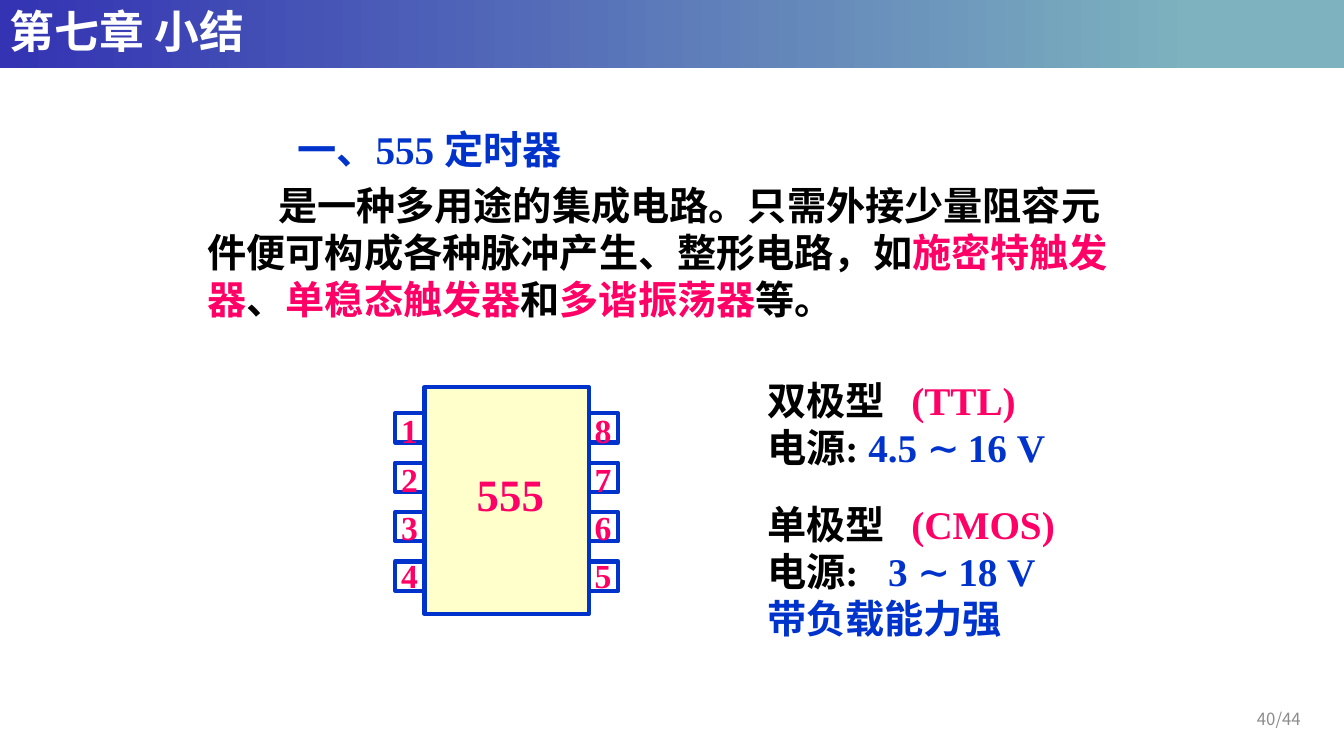
from dataclasses import dataclass

from lxml import etree
from pptx import Presentation
from pptx.dml.color import RGBColor
from pptx.enum.lang import MSO_LANGUAGE_ID
from pptx.enum.shapes import MSO_SHAPE
from pptx.enum.text import MSO_ANCHOR, PP_ALIGN
from pptx.oxml.ns import qn
from pptx.util import Inches, Pt

RECTANGLE = MSO_SHAPE.RECTANGLE
TOP, MIDDLE = MSO_ANCHOR.TOP, MSO_ANCHOR.MIDDLE
LEFT, RIGHT = PP_ALIGN.LEFT, PP_ALIGN.RIGHT
CHINESE = MSO_LANGUAGE_ID.SIMPLIFIED_CHINESE


@dataclass(frozen=True)
class Theme:
    """Colours, fonts and type sizes of the slide."""
    white: str = "FFFFFF"
    black: str = "000000"
    blue: str = "0033CC"
    pink: str = "FF0066"
    cream: str = "FFFFCC"
    grey: str = "8C8C8C"
    band_start: str = "3333B3"
    band_end: str = "7DB2BE"
    title_font: str = "Cabin"
    body_font: str = "Times New Roman"
    number_font: str = "Noto Sans CJK SC"
    title_size: int = 32
    body_size: int = 28
    pin_size: int = 24
    number_size: int = 12
    outline: int = 3


@dataclass(frozen=True)
class Box:
    """A rectangle in inches."""
    left: float
    top: float
    width: float
    height: float

    def emu(self):
        """Return the four lengths for python-pptx."""
        return [Inches(v) for v in (self.left, self.top, self.width, self.height)]

    def inner(self, left, top, width, height):
        """Return a box offset from this one's corner."""
        return Box(self.left + left, self.top + top, width, height)


THEME = Theme()
WIDTH, HEIGHT = 13.33, 7.5


def rgb(colour):
    """Turn a hex string into a colour."""
    return RGBColor.from_string(colour)


def add_text(shapes, box, paragraphs, size=THEME.body_size, font=THEME.body_font,
             bold=True, align=LEFT, anchor=TOP, spacing=None, indent=0, tabs=(), wrap=True):
    """Write paragraphs, each a list of (text, colour) runs, into a box."""
    frame = shapes.add_textbox(*box.emu()).text_frame
    frame.word_wrap = wrap
    frame.vertical_anchor = anchor
    for index, runs in enumerate(paragraphs):
        paragraph = frame.paragraphs[0] if index == 0 else frame.add_paragraph()
        properties = paragraph._p.get_or_add_pPr()
        if indent:
            properties.set("indent", str(Inches(indent)))
        if index < len(tabs):
            stops = etree.SubElement(properties, qn("a:tabLst"))
            etree.SubElement(stops, qn("a:tab"), pos=str(Inches(tabs[index])), algn="l")
        paragraph.alignment = align
        if spacing:
            paragraph.line_spacing = spacing
        style = paragraph.font
        style.size, style.name, style.bold = Pt(size), font, bold
        style.language_id = CHINESE
        if len({colour for _, colour in runs}) == 1:
            style.color.rgb = rgb(runs[0][1])
        for text, colour in runs:
            run = paragraph.add_run()
            run.text = text
            if len(runs) > 1:
                run.font.color.rgb = rgb(colour)


def add_outlined(shapes, box, fill=None):
    """Draw one blue-edged rectangle of the chip."""
    rectangle = shapes.add_shape(RECTANGLE, *box.emu())
    rectangle.shadow.inherit = False
    if fill:
        rectangle.fill.solid()
        rectangle.fill.fore_color.rgb = rgb(fill)
    else:
        rectangle.fill.background()
    rectangle.line.color.rgb = rgb(THEME.blue)
    rectangle.line.width = Pt(THEME.outline)


def add_header(slide, box):
    """Draw the gradient band and the chapter title."""
    band = slide.shapes.add_shape(RECTANGLE, *box.emu())
    band.shadow.inherit = False
    band.line.fill.background()
    band.fill.gradient()
    band.fill.gradient_angle = 0
    stops = zip(band.fill.gradient_stops, (0, 0.89), (THEME.band_start, THEME.band_end))
    for stop, position, colour in stops:
        stop.position = position
        stop.color.rgb = rgb(colour)
    add_text(slide.shapes, box, [[("第七章 小结", THEME.white)]], THEME.title_size,
             THEME.title_font, anchor=MIDDLE, spacing=0.9)


def add_introduction(slide, box):
    """Write the section heading and the description below it."""
    add_text(slide.shapes, box.inner(0.89, 0, 8.84, 0.57), [[("一、555 定时器", THEME.blue)]])
    description = [
        ("是一种多用途的集成电路。只需外接少量阻容元件便可构成各种脉冲产生、整形电路，如", THEME.black),
        ("施密特触发器", THEME.pink), ("、", THEME.black),
        ("单稳态触发器", THEME.pink), ("和", THEME.black),
        ("多谐振荡器", THEME.pink), ("等。", THEME.black),
    ]
    add_text(slide.shapes, box.inner(0, 0.56, box.width, 1.5), [description], indent=0.7)


def add_chip(slide, box):
    """Draw the chip body with four numbered pins on each side."""
    shapes = slide.shapes.add_group_shape().shapes
    pin, pitch, first_pin = 0.29, 0.49, 0.26
    body = box.inner(pin, 0, box.width - 2 * pin, box.height)
    add_outlined(shapes, body, THEME.cream)
    sides = ((0, "1234"), (box.width - pin, "8765"))
    for left, numbers in sides:
        for row in range(len(numbers)):
            add_outlined(shapes, box.inner(left, first_pin + row * pitch, pin, pin))
    add_text(shapes, body.inner(0.42, 0.74, 0.99, 0.63), [[("555", THEME.pink)]],
             THEME.title_size)
    for left, numbers in sides:
        add_text(shapes, box.inner(left - 0.04, 0.1, 0.37, 2.02),
                 [[(number, THEME.pink)] for number in numbers],
                 THEME.pin_size, spacing=1.2, wrap=False)


def add_families(slide, box):
    """Write the supply ranges of the bipolar and unipolar families."""
    add_text(slide.shapes, box.inner(0, 0, box.width, 1.03), [
        [("双极型\t", THEME.black), ("(TTL)", THEME.pink)],
        [("电源: ", THEME.black), ("4.5 ∼ 16 V", THEME.blue)],
    ], tabs=(1.43,))
    add_text(slide.shapes, box.inner(0, 1.23, box.width, 1.5), [
        [("单极型\t", THEME.black), ("(CMOS)", THEME.pink)],
        [("电源:\t", THEME.black), ("3 ∼ 18 V", THEME.blue)],
        [("带负载能力强", THEME.blue)],
    ], tabs=(1.43, 1.2))


def add_page_number(slide, box):
    """Write the page count at the lower right."""
    add_text(slide.shapes, box, [[("40/44", THEME.grey)]], THEME.number_size,
             THEME.number_font, bold=False, align=RIGHT, anchor=MIDDLE)


def main():
    """Build and save the chapter summary slide."""
    deck = Presentation()
    deck.slide_width, deck.slide_height = Inches(WIDTH), Inches(HEIGHT)
    slide = deck.slides.add_slide(deck.slide_layouts[6])
    add_header(slide, Box(0, 0, WIDTH, 0.68))
    add_introduction(slide, Box(1.96, 1.19, 9.33, 2.06))
    add_chip(slide, Box(3.92, 3.84, 2.21, 2.25))
    add_families(slide, Box(7.51, 3.68, 3.31, 2.73))
    add_page_number(slide, Box(11.69, 6.93, 1.31, 0.4))
    deck.save("out.pptx")


if __name__ == "__main__":
    main()
